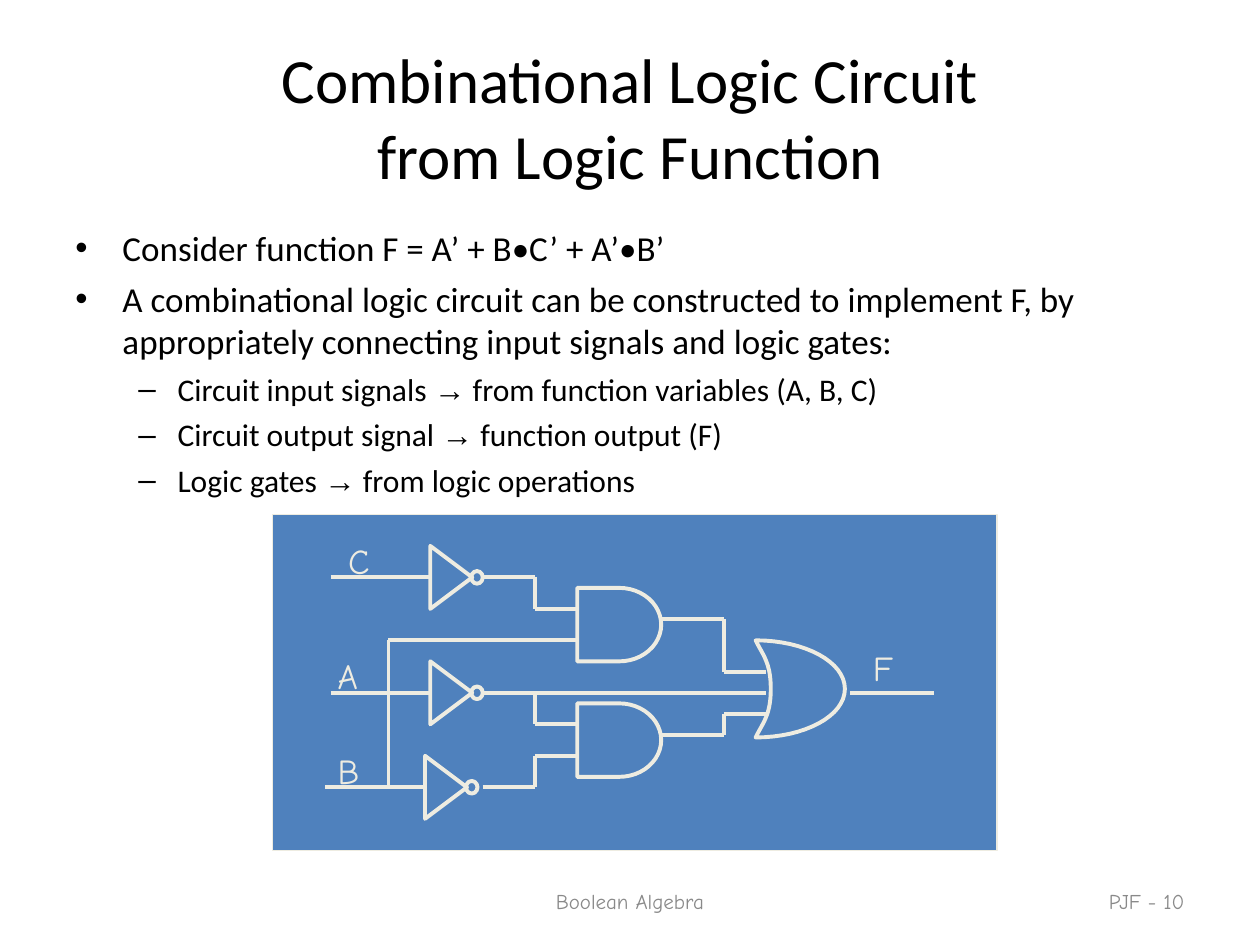
import pptx
import pptx.dml.color
import pptx.enum.shapes
import pptx.enum.text
import pptx.oxml.ns
import pptx.util
from lxml import etree

Cm = pptx.util.Cm
Pt = pptx.util.Pt
RGBColor = pptx.dml.color.RGBColor
SHAPE = pptx.enum.shapes.MSO_SHAPE
ALIGN = pptx.enum.text.PP_ALIGN
ANCHOR = pptx.enum.text.MSO_ANCHOR
qn = pptx.oxml.ns.qn

BLACK = RGBColor(0x00, 0x00, 0x00)
WHITE = RGBColor(0xFF, 0xFF, 0xFF)
GRAY = RGBColor(0x89, 0x89, 0x89)
BLUE = RGBColor(0x4F, 0x81, 0xBD)
CREAM = RGBColor(0xEE, 0xEC, 0xE1)

BODY_FONT = "Calibri"
ARROW_FONT = "Arial"
HAND_FONT = "Comic Neue"

BULLETS = [
    (0, "Consider function F = A’ + B•C’ + A’•B’"),
    (0, "A combinational logic circuit can be constructed to implement F, "
        "by appropriately connecting input signals and logic gates:"),
    (1, "Circuit input signals → from function variables (A, B, C)"),
    (1, "Circuit output signal → function output (F)"),
    (1, "Logic gates → from logic operations"),
]
LEVELS = [("•", 20, 5, 0.95, 0.95), ("–", 18, 4.5, 2.06, 0.79)]

GRID_COLUMNS = 69
INVERTERS = [(15, 6), (15, 17), (14.5, 26)]
AND_GATES = [(29, 7), (29, 18)]
OR_GATE = (46, 12, 8.5, 9.25)
LABELS = [("C", 6, 1.8), ("A", 5, 12.8), ("B", 5, 21.8), ("F", 56, 12)]
WIRES = [
    [(5.5, 6), (15, 6)],
    [(5.5, 17), (15, 17)],
    [(5, 26), (14.5, 26)],
    [(20, 6), (25, 6), (25, 9), (29, 9)],
    [(11, 26), (11, 12), (29, 12)],
    [(20, 17), (47, 17)],
    [(25, 17), (25, 20), (29, 20)],
    [(20, 26), (25, 26), (25, 23), (29, 23)],
    [(37, 10), (43, 10), (43, 15), (47, 15)],
    [(37, 21), (43, 21), (43, 19), (47, 19)],
    [(55, 17), (63, 17)],
]


def add_run(paragraph, text, size, font, color):
    run = paragraph.add_run()
    run.text = text
    run.font.size = Pt(size)
    run.font.name = font
    run.font.color.rgb = color


def add_text_box(shapes, left, top, width, height, anchor=ANCHOR.TOP):
    frame = shapes.add_textbox(left, top, width, height).text_frame
    frame.word_wrap = True
    frame.vertical_anchor = anchor
    return frame


def add_title(slide, left, top, width, height):
    frame = add_text_box(slide.shapes, left, top, width, height, ANCHOR.MIDDLE)
    paragraph = frame.paragraphs[0]
    paragraph.alignment = ALIGN.CENTER
    add_run(paragraph, "Combinational Logic Circuit", 36, BODY_FONT, BLACK)
    paragraph.add_line_break()
    add_run(paragraph, "from Logic Function", 36, BODY_FONT, BLACK)


def set_bullet(paragraph, character, margin, hanging):
    properties = paragraph._p.get_or_add_pPr()
    properties.set("marL", str(Cm(margin)))
    properties.set("indent", str(-Cm(hanging)))
    color = etree.SubElement(properties, qn("a:buClr"))
    etree.SubElement(color, qn("a:srgbClr"), val=str(BLACK))
    etree.SubElement(properties, qn("a:buFont"), typeface=ARROW_FONT)
    etree.SubElement(properties, qn("a:buChar"), char=character)


def add_body(slide, left, top, width, height):
    frame = add_text_box(slide.shapes, left, top, width, height)
    for index, (level, text) in enumerate(BULLETS):
        character, size, space, margin, hanging = LEVELS[level]
        paragraph = frame.add_paragraph() if index else frame.paragraphs[0]
        paragraph.level = level
        set_bullet(paragraph, character, margin, hanging)
        paragraph.space_before = Pt(space if index else 0)
        before, arrow, after = text.partition("→")
        add_run(paragraph, before, size, BODY_FONT, BLACK)
        if arrow:
            add_run(paragraph, arrow, size, ARROW_FONT, BLACK)
            add_run(paragraph, after, size, BODY_FONT, BLACK)


def add_footer(slide, left, top, width, height, text, alignment):
    frame = add_text_box(slide.shapes, left, top, width, height, ANCHOR.MIDDLE)
    paragraph = frame.paragraphs[0]
    paragraph.alignment = alignment
    add_run(paragraph, text, 12, HAND_FONT, GRAY)


def bezier(start, first, second, end, steps=16):
    for step in range(1, steps + 1):
        t = step / steps
        weights = ((1 - t) ** 3, 3 * t * (1 - t) ** 2, 3 * t * t * (1 - t), t ** 3)
        yield tuple(
            sum(weight * value for weight, value in zip(weights, values))
            for values in zip(start, first, second, end)
        )


def or_outline(x, y, width, height):
    curves = [
        ((0, 0), (0.08, 0.15), (0.17, 0.23), (0.17, 0.5)),
        ((0.17, 0.5), (0.17, 0.77), (0.08, 0.85), (0, 1)),
        ((0, 1), (0.55, 1), (1, 0.78), (1, 0.5)),
        ((1, 0.5), (1, 0.22), (0.55, 0), (0, 0)),
    ]
    points = [(0, 0)] + [point for curve in curves for point in bezier(*curve)]
    return [(x + u * width, y + v * height) for u, v in points]


def add_circuit(slide, left, top, width, height):
    shapes = slide.shapes.add_group_shape().shapes
    unit = width / GRID_COLUMNS

    def place(x, y):
        return round(left + x * unit), round(top + y * unit)

    def outline(shape):
        shape.shadow.inherit = False
        shape.fill.background()
        shape.line.color.rgb = CREAM
        shape.line.width = Pt(2.25)

    def add_gate(kind, x, y, columns, rows):
        gate = shapes.add_shape(
            kind, *place(x, y), round(columns * unit), round(rows * unit))
        outline(gate)
        return gate

    def add_wire(start, end):
        wire = shapes.add_connector(
            pptx.enum.shapes.MSO_CONNECTOR.STRAIGHT, *place(*start), *place(*end))
        wire.line.color.rgb = CREAM
        wire.line.width = Pt(2 if start[0] == end[0] else 2.25)
        etree.SubElement(wire._element.spPr, qn("a:effectLst"))

    panel = shapes.add_shape(SHAPE.RECTANGLE, left, top, width, height)
    outline(panel)
    panel.fill.solid()
    panel.fill.fore_color.rgb = BLUE
    panel.line.width = Pt(0.75)

    for wire in WIRES:
        for start, end in zip(wire, wire[1:]):
            add_wire(start, end)
    for x, y in INVERTERS:
        add_gate(SHAPE.ISOSCELES_TRIANGLE, x - 1, y - 2, 6, 4).rotation = 90
        add_gate(SHAPE.OVAL, x + 3.9, y - 0.6, 1.1, 1.2)
    for x, y in AND_GATES:
        add_gate(SHAPE.FLOWCHART_DELAY, x, y, 8, 7)

    points = [place(x, y) for x, y in or_outline(*OR_GATE)]
    builder = shapes.build_freeform(*points[0])
    builder.add_line_segments(points[1:], close=True)
    outline(builder.convert_to_shape())

    for letter, x, y in LABELS:
        frame = add_text_box(shapes, *place(x, y), round(6 * unit), round(5.3 * unit))
        add_run(frame.paragraphs[0], letter, 20, HAND_FONT, CREAM)


def main():
    presentation = pptx.Presentation()
    presentation.slide_width = Cm(25.4)
    presentation.slide_height = Cm(19.05)
    slide = presentation.slides.add_slide(presentation.slide_layouts[6])
    slide.background.fill.solid()
    slide.background.fill.fore_color.rgb = WHITE
    add_title(slide, Cm(0), Cm(0.76), Cm(25.4), Cm(3.18))
    add_body(slide, Cm(1.27), Cm(4.45), Cm(22.86), Cm(12.57))
    add_footer(slide, Cm(18.2), Cm(17.65), Cm(5.93), Cm(1.02), "PJF - 10", ALIGN.RIGHT)
    add_footer(slide, Cm(8.68), Cm(17.65), Cm(8.04), Cm(1.02), "Boolean Algebra", ALIGN.CENTER)
    add_circuit(slide, Cm(5.5), Cm(10.37), Cm(14.6), Cm(6.77))
    presentation.save("out.pptx")


if __name__ == "__main__":
    main()
